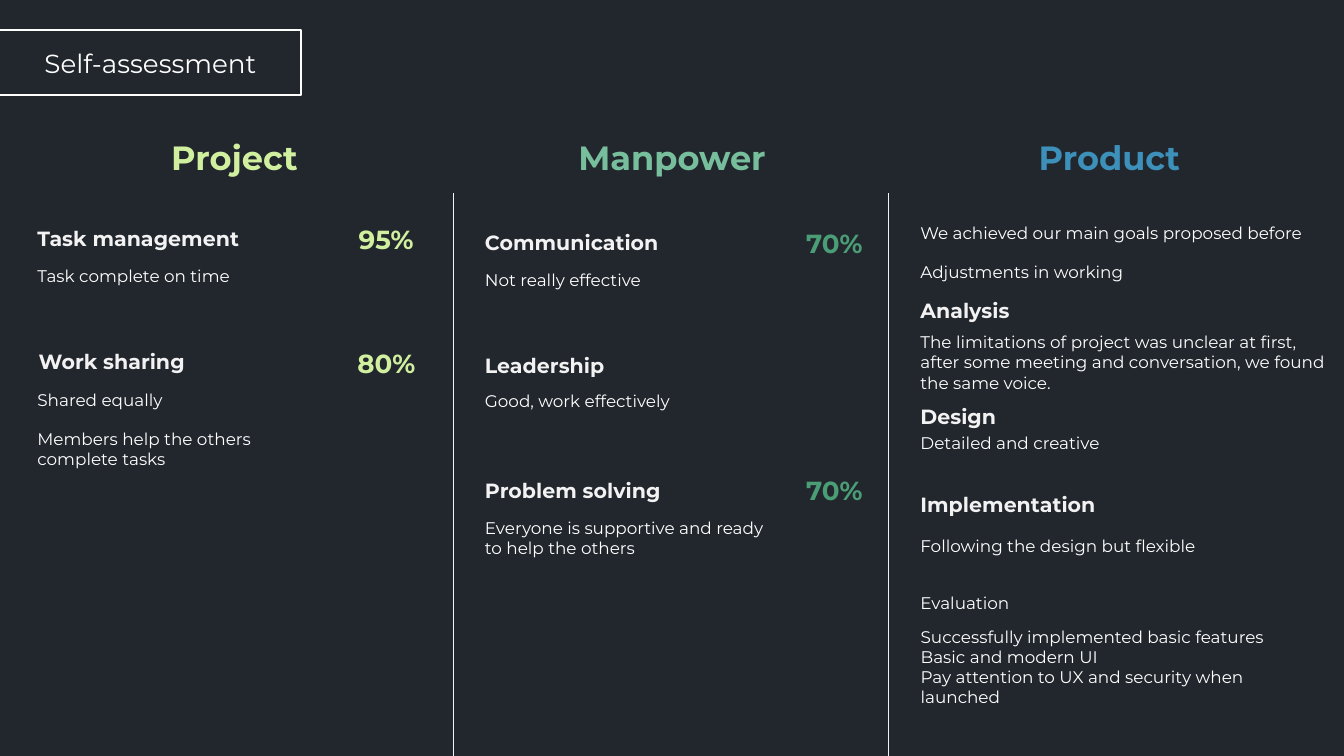
from dataclasses import dataclass

from lxml import etree
from pptx import Presentation
from pptx import util as u
from pptx.dml.color import RGBColor
from pptx.enum import shapes, text
from pptx.oxml.ns import qn

PX = 9144  # EMU; 100 px to the inch
FONT = "Montserrat"
WHITE, PALE, DARK = "FFFFFF", "F2F2F2", "22262D"
LIME, MINT, GREEN, BLUE = "D0F09F", "77BE9C", "4B9D76", "3D90B9"


@dataclass(frozen=True)
class Style:
    size: int
    colour: str
    bold: bool = False
    align: text.PP_ALIGN = text.PP_ALIGN.LEFT
    anchor: text.MSO_ANCHOR = text.MSO_ANCHOR.TOP
    inset: int = 5


@dataclass(frozen=True)
class Label:
    words: str
    left: int
    top: int
    width: int
    height: int
    style: Style


CENTRE, MIDDLE = text.PP_ALIGN.CENTER, text.MSO_ANCHOR.MIDDLE
TITLE = Style(14, WHITE, align=CENTRE, anchor=MIDDLE, inset=10)
TOPIC = Style(11, PALE, bold=True)
NOTE = Style(9, WHITE)


def column_style(colour: str) -> Style:
    return Style(18, colour, bold=True, align=CENTRE, anchor=MIDDLE, inset=10)


def score_style(colour: str) -> Style:
    return Style(14, colour, bold=True, anchor=MIDDLE)


PROJECT, MANPOWER, PRODUCT = 18, 351, 675  # left edge of each column's text
DIVIDERS = (337, 661)

SLIDE_TITLE = Label("Self-assessment", 0, 33, 224, 28, TITLE)
EVALUATION = Label(
    "Successfully implemented basic features\nBasic and modern UI\n"
    "Pay attention to UX and security when launched",
    PRODUCT, 461, 287, 71, NOTE)

LABELS = (
    Label("Project", 93, 104, 163, 26, column_style(LIME)),
    Label("Manpower", 399, 104, 202, 26, column_style(MINT)),
    Label("Product", 744, 104, 163, 26, column_style(BLUE)),

    Label("Task management", PROJECT, 163, 224, 29, TOPIC),
    Label("95%", 257, 161, 71, 34, score_style(LIME)),
    Label("Task complete on time", PROJECT, 193, 232, 25, NOTE),
    Label("Work sharing", PROJECT + 1, 255, 224, 29, TOPIC),
    Label("80%", 256, 253, 72, 34, score_style(LIME)),
    Label("Shared equally", PROJECT, 285, 232, 25, NOTE),
    Label("Members help the others complete tasks", PROJECT, 314, 232, 40, NOTE),

    Label("Communication", MANPOWER, 166, 224, 29, TOPIC),
    Label("70%", 590, 164, 71, 34, score_style(GREEN)),
    Label("Not really effective", MANPOWER, 196, 232, 25, NOTE),
    Label("Leadership", MANPOWER, 258, 224, 34, TOPIC),
    Label("Good, work effectively", MANPOWER, 286, 232, 25, NOTE),
    Label("Problem solving", MANPOWER, 351, 224, 34, TOPIC),
    Label("70%", 590, 348, 71, 34, score_style(GREEN)),
    Label("Everyone is supportive and ready to help the others",
          MANPOWER, 380, 232, 118, NOTE),

    Label("We achieved our main goals proposed before", PRODUCT, 161, 306, 25, NOTE),
    Label("Adjustments in working", PRODUCT, 190, 306, 25, NOTE),
    Label("Analysis", PRODUCT, 217, 115, 34, TOPIC),
    Label("The limitations of project was unclear at first, after some meeting "
          "and conversation, we found the same voice.", PRODUCT, 242, 325, 56, NOTE),
    Label("Design", PRODUCT, 296, 88, 29, TOPIC),
    Label("Detailed and creative", PRODUCT, 317, 221, 25, NOTE),
    Label("Implementation", PRODUCT, 361, 166, 29, TOPIC),
    Label("Following the design but flexible", PRODUCT, 394, 297, 25, NOTE),
    Label("Evaluation", PRODUCT, 436, 142, 25, NOTE),
)


def rgb(colour: str) -> RGBColor:
    return RGBColor.from_string(colour)


def emu(*lengths: int) -> list[u.Emu]:
    return [u.Emu(length * PX) for length in lengths]


def set_values(target, **values) -> None:
    for name, value in values.items():
        setattr(target, name, value)


def write(box, label: Label) -> None:
    """Place a box or placeholder, then fill and format its text."""
    style = label.style
    left, top, width, height, side, inset = emu(
        label.left, label.top, label.width, label.height, 10, style.inset)
    set_values(box, left=left, top=top, width=width, height=height)
    frame = box.text_frame
    frame.text = label.words
    set_values(frame, word_wrap=True, auto_size=text.MSO_AUTO_SIZE.NONE,
               vertical_anchor=style.anchor, margin_left=side, margin_right=side,
               margin_top=inset, margin_bottom=inset)
    for para in frame.paragraphs:
        set_values(para, alignment=style.align, space_before=u.Pt(0))
        for span in para.runs:
            set_values(span.font, name=FONT, size=u.Pt(style.size), bold=style.bold)
            span.font.color.rgb = rgb(style.colour)


def remove_bullets(box) -> None:
    for para in box.text_frame.paragraphs:
        properties = para._p.get_or_add_pPr()
        properties.set("marL", "0")
        properties.set("indent", "0")
        etree.SubElement(properties, qn("a:buNone"))


def add_title_frame(page) -> None:
    frame = page.shapes.add_shape(
        shapes.MSO_SHAPE.RECTANGLE, *emu(-7, 22, 231, 49))
    frame.shadow.inherit = False
    frame.fill.background()
    frame.line.color.rgb = rgb(WHITE)
    frame.line.width = u.Pt(1)


def add_divider(page, x: int) -> None:
    divider = page.shapes.add_connector(
        shapes.MSO_CONNECTOR.STRAIGHT, *emu(x, 144, x, 574))
    divider.line.color.rgb = rgb(PALE)
    divider.line.width = u.Pt(0.25)
    etree.SubElement(divider._element.spPr, qn("a:effectLst"))


def main() -> None:
    deck = Presentation()
    deck.slide_width = u.Inches(10)
    deck.slide_height = u.Emu(deck.slide_width * 9 // 16)
    page = deck.slides.add_slide(deck.slide_layouts[1])
    page.background.fill.solid()
    page.background.fill.fore_color.rgb = rgb(DARK)

    add_title_frame(page)
    write(page.shapes.title, SLIDE_TITLE)
    for x in DIVIDERS:
        add_divider(page, x)
    for label in LABELS:
        write(page.shapes.add_textbox(0, 0, 0, 0), label)
    body = page.placeholders[1]
    write(body, EVALUATION)
    remove_bullets(body)
    deck.save("out.pptx")


if __name__ == "__main__":
    main()
